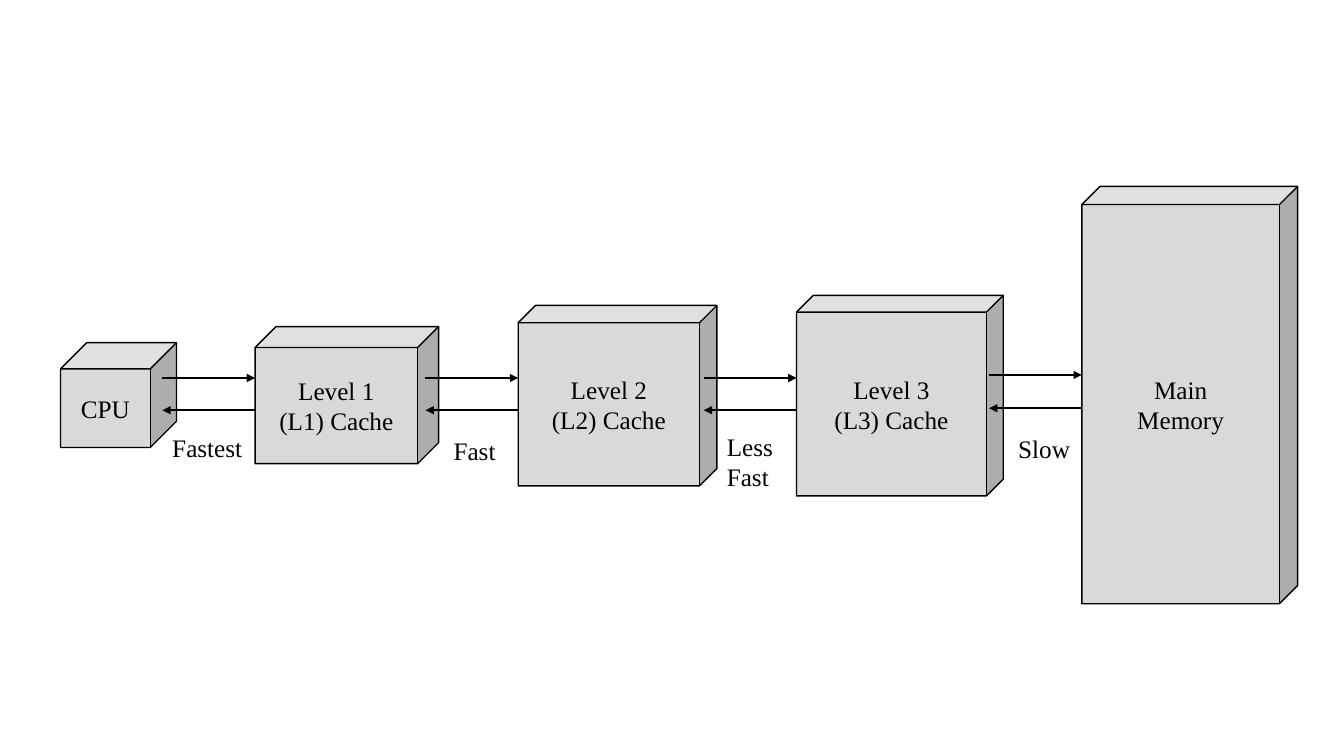
"""Build a slide of the memory hierarchy from CPU to main memory."""
from lxml.etree import SubElement
from pptx import Presentation
from pptx.dml.color import RGBColor
from pptx.enum.shapes import MSO_CONNECTOR, MSO_SHAPE
from pptx.enum.text import MSO_ANCHOR, MSO_AUTO_SIZE, PP_ALIGN
from pptx.oxml.ns import qn
from pptx.util import Pt

PX = 9144
BLACK = RGBColor(0x00, 0x00, 0x00)
GREY = RGBColor(0xD9, 0xD9, 0xD9)
FONT = {"name": "Times New Roman", "size": Pt(18)}
ARROW_LENGTH = 92

STORES = [
    (["CPU"], (60, 340, 115, 104), 0.25),
    (["Level 1", "(L1) Cache"], (253, 324, 182, 136), 0.153),
    (["Level 2", "(L2) Cache"], (514, 303, 197, 179), 0.096),
    (["Level 3", "(L3) Cache"], (790, 293, 205, 199), 0.084),
    (["Main", "Memory"], (1073, 185, 214, 414), 0.084),
]
LINKS = [
    (["Fastest"], (161, 424, 132, 40), (375, 407)),
    (["Fast"], (440, 427, 132, 40), (375, 407)),
    (["Less", "Fast"], (711, 423, 92, 71), (375, 407)),
    (["Slow"], (1000, 425, 132, 40), (372, 405)),
]


def scale(lengths):
    """Turn px lengths into EMU."""
    return [length * PX for length in lengths]


def write(frame, lines, align):
    """Write each line as a paragraph in the slide's font."""
    frame.word_wrap = True
    for index, line in enumerate(lines):
        para = frame.add_paragraph() if index else frame.paragraphs[0]
        para.alignment = align
        span = para.add_run()
        span.text = line
        span.font.color.rgb = BLACK
        for key, value in FONT.items():
            setattr(span.font, key, value)


def add_store(page, lines, place, depth):
    """Add a labelled cube for one memory store."""
    cube = page.shapes.add_shape(MSO_SHAPE.CUBE, *scale(place))
    cube.shadow.inherit = False
    cube.adjustments[0] = depth
    cube.fill.solid()
    cube.fill.fore_color.rgb = GREY
    cube.line.color.rgb = BLACK
    cube.line.width = Pt(1)
    cube.text_frame.vertical_anchor = MSO_ANCHOR.MIDDLE
    write(cube.text_frame, lines, PP_ALIGN.CENTER)


def add_arrow(page, start, end, height):
    """Add a horizontal arrow from start to end."""
    arrow = page.shapes.add_connector(
        MSO_CONNECTOR.STRAIGHT, *scale((start, height, end, height)))
    arrow.line.color.rgb = BLACK
    arrow.line.width = Pt(1.5)
    SubElement(arrow.line._get_or_add_ln(), qn("a:tailEnd"), type="triangle")
    SubElement(arrow._element.spPr, qn("a:effectLst"))


def add_label(page, lines, place):
    """Add a speed label below a pair of arrows."""
    box = page.shapes.add_textbox(*scale(place))
    write(box.text_frame, lines, PP_ALIGN.LEFT)
    box.text_frame.auto_size = MSO_AUTO_SIZE.SHAPE_TO_FIT_TEXT


def main():
    """Build and save the deck."""
    deck = Presentation()
    deck.slide_width, deck.slide_height = scale((1333, 750))
    page = deck.slides.add_slide(deck.slide_layouts[6])
    for store in STORES:
        add_store(page, *store)
    for (_, place, _), (lines, label_place, heights) in zip(STORES[1:], LINKS):
        right = place[0]
        left = right - ARROW_LENGTH
        add_arrow(page, left, right, heights[0])
        add_arrow(page, right, left, heights[1])
        add_label(page, lines, label_place)
    deck.save("out.pptx")


if __name__ == "__main__":
    main()
